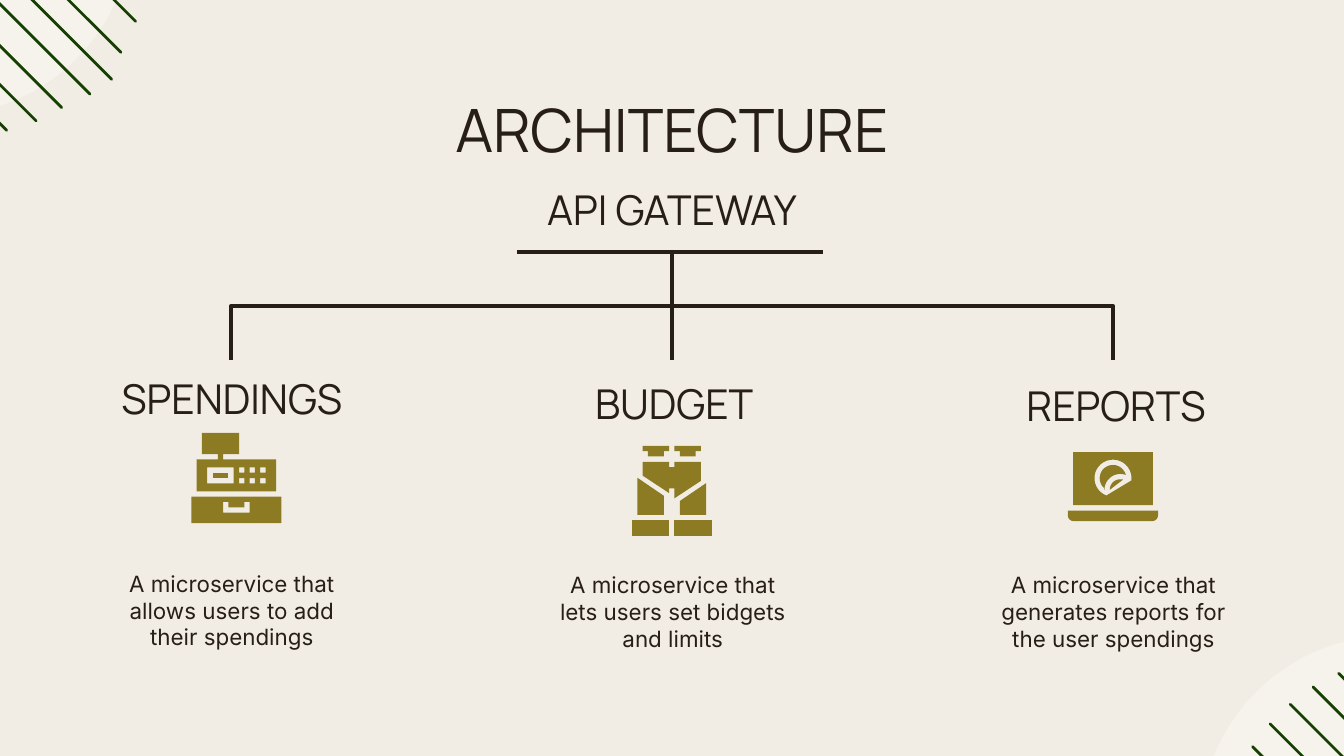
"""Build the architecture slide: a gateway that branches into three microservices."""
from math import cos, radians, sin

from lxml import etree
from pptx import Presentation
from pptx.dml.color import RGBColor
from pptx.enum import shapes, text
from pptx.oxml.ns import qn
from pptx.util import Pt

INK, OLIVE, GREEN, CREAM, WHITE = "261E17", "8C7B23", "154001", "F2EDE4", "FFFFFF"
WIDTH, HEIGHT, MIDDLE = 720, 405, 360
UNIT = 2.84
BAR_Y, BRANCH_Y, DROP_Y = 134.8, 163.9, 192.9

TITLE = {"size": Pt(32), "name": "Manrope"}
HEADING = {"size": Pt(22), "name": "Manrope"}
BODY = {"size": Pt(12), "name": "Inter"}


def rect(left, top, right, bottom):
    """Return the corners of a rectangle."""
    return [(left, top), (right, top), (right, bottom), (left, bottom)]


def arc(x, y, radius, start, end, steps=24):
    """Return points along an arc, with angles in degrees."""
    angles = [radians(start + (end - start) * i / steps) for i in range(steps + 1)]
    return [(x + radius * cos(a), y + radius * sin(a)) for a in angles]


REGISTER = [
    [[(2, 0), (2, 4), (5, 4), (5, 5), (1, 5), (1, 11), (16, 11), (16, 5),
      (6, 5), (6, 4), (9, 4), (9, 0)], rect(3, 6.5, 8, 9.5)]
    + [rect(x, y, x + 1, y + 1) for x in (9, 11, 13) for y in (6.5, 8.5)],
    [rect(4, 7.5, 7, 8.5)],
    [rect(0, 12, 17, 17),
     [(11, 13), (11, 15), (6, 15), (6, 13), (7, 13), (7, 14), (10, 14), (10, 13)]],
]
MONEY = [
    *[[[(x, 0), (x, 1), (x + 1, 1), (x + 1, 2), (x + 4, 2), (x + 4, 1), (x + 5, 1),
        (x + 5, 0)]] for x in (2, 8)],
    *[[rect(x, 14, x + 7, 17)] for x in (0, 8)],
    [[(2, 3), (2, 5.6), (7, 8.9), (7, 8), (8, 8), (8, 9.9), (13, 6.6), (13, 3),
      (8, 3), (8, 4), (7, 4), (7, 3)]],
    [[(1, 6), (1, 13), (6, 13), (6, 9.4)]],
    [[(14, 7), (9, 10.4), (9, 13), (14, 13)]],
]
LAPTOP = [
    [[(0, 11), *arc(1.1, 11.9, 1.1, 180, 90), *arc(15.9, 11.9, 1.1, 90, 0), (17, 11)]],
    [rect(1, 0, 16, 10), arc(8.5, 4.9, 3.5, 7, -249)],
    [arc(8.5, 4.9, 2.5, -14, -233) + arc(9.9, 7.1, 3, 180, 289)],
    [arc(9.9, 7.1, 2, 180, 285)],
]

SERVICES = [
    {"name": "SPENDINGS", "at": (124.2, 193), "icon": REGISTER, "icon_at": (102.5, 232),
     "about": "A microservice that allows users to add their spendings",
     "about_at": (124.2, 298.1)},
    {"name": "BUDGET", "at": (361.1, 195.4), "icon": MONEY, "icon_at": (338.6, 238.9),
     "about": "A microservice that lets users set bidgets and limits",
     "about_at": (360.4, 298.7)},
    {"name": "REPORTS", "at": (597.9, 196.6), "icon": LAPTOP, "icon_at": (572.1, 242.3),
     "about": "A microservice that generates reports for the user spendings",
     "about_at": (596.5, 298.7)},
]
CORNERS = [
    {"disc": (643, 340.6), "stripes": [
        (671, 400, 140), (680.4, 387.8, 146), (691.2, 377.3, 138),
        (703.4, 368, 141), (717.1, 360.7, 134)]},
    {"disc": (-135.4, -142.6), "stripes": [
        (3.6, 69.8, -123), (19.4, 64.8, -133), (33.1, 57.6, -140), (48.2, 50.4, -146),
        (59.8, 42.5, -147), (64.8, 28.1, -141), (72.7, 11.5, -134)]},
]


def color(value):
    """Turn a hex string into a colour."""
    return RGBColor.from_string(value)


def paint(shape, value):
    """Give a shape a flat fill without line or shadow."""
    shape.shadow.inherit = False
    shape.fill.solid()
    shape.fill.fore_color.rgb = color(value)
    shape.line.fill.background()


def add_line(page, start, end, value, width, kind="STRAIGHT", cap="flat"):
    """Add a connector between two points."""
    line = page.shapes.add_connector(
        shapes.MSO_CONNECTOR[kind], *map(Pt, (*start, *end)))
    line.line.color.rgb = color(value)
    line.line.width = Pt(width)
    frame = line.element.spPr
    frame.find(qn("a:ln")).set("cap", cap)
    etree.SubElement(frame, qn("a:effectLst"))
    return line


def add_branch(page, x):
    """Add an elbow that rises from a service to the gateway bar."""
    rise, run = (DROP_Y - BAR_Y) / 2, abs(MIDDLE - x) / 2
    center, side = (x + MIDDLE) / 2, 1 if x < MIDDLE else -1
    branch = add_line(page, (center - side * rise, BRANCH_Y - run),
                      (center + side * rise, BRANCH_Y + run), INK, 2.25, "ELBOW")
    turn = 270 if side > 0 else 90
    branch.element.spPr.find(qn("a:xfrm")).set("rot", str(turn * 60000))


def add_text(page, words, center, top, width, height, style, anchor="TOP"):
    """Add a centred text box."""
    box = page.shapes.add_textbox(*map(Pt, (center - width / 2, top, width, height)))
    layout = {"word_wrap": True, "vertical_anchor": text.MSO_ANCHOR[anchor]}
    layout.update({f"margin_{side}": Pt(7.2) for side in ("left", "right", "top", "bottom")})
    for key, value in layout.items():
        setattr(box.text_frame, key, value)
    para = box.text_frame.paragraphs[0]
    para.alignment = text.PP_ALIGN.CENTER
    span = para.add_run()
    span.text = words
    for key, value in style.items():
        setattr(span.font, key, value)
    span.font.color.rgb = color(INK)


def add_icon(page, parts, left, top):
    """Draw each part of an icon; later contours cut holes in the first."""
    for contours in parts:
        placed = [[((left + x * UNIT) * 100, (top + y * UNIT) * 100) for x, y in contour]
                  for contour in contours]
        outline = page.shapes.build_freeform(*placed[0][0], scale=Pt(0.01))
        for number, points in enumerate(placed):
            if number:
                outline.move_to(*points[0])
            outline.add_line_segments(points[1:], close=True)
        paint(outline.convert_to_shape(), OLIVE)


def add_corner(page, disc, stripes):
    """Add a translucent disc with diagonal stripes."""
    circle = page.shapes.add_shape(shapes.MSO_SHAPE.OVAL, *map(Pt, (*disc, 206, 204.5)))
    paint(circle, WHITE)
    tint = circle.element.spPr.find(qn("a:solidFill"))[0]
    etree.SubElement(tint, qn("a:alpha"), val="36000")
    for x, y, reach in stripes:
        add_line(page, (x, y), (x + reach, y + reach), GREEN, 1.5, cap="rnd")


def main():
    """Compose and save the slide."""
    deck = Presentation()
    deck.slide_width, deck.slide_height = Pt(WIDTH), Pt(HEIGHT)
    page = deck.slides.add_slide(deck.slide_layouts[6])
    page.background.fill.solid()
    page.background.fill.fore_color.rgb = color(CREAM)
    for corner in CORNERS:
        add_corner(page, **corner)
    add_text(page, "ARCHITECTURE", MIDDLE, 41, 608, 55.4, TITLE, "MIDDLE")
    add_text(page, "API GATEWAY", MIDDLE, 91.4, 450, 44, HEADING)
    add_line(page, (277, BAR_Y), (441, BAR_Y), INK, 2.25)
    for x in (123.8, 596.2):
        add_branch(page, x)
    add_line(page, (MIDDLE, DROP_Y), (MIDDLE, BRANCH_Y), INK, 2.25)
    for service in SERVICES:
        add_text(page, service["name"], *service["at"], 146, 44, HEADING)
        add_icon(page, service["icon"], *service["icon_at"])
        add_text(page, service["about"], *service["about_at"], 146, 59, BODY)
    deck.save("out.pptx")


if __name__ == "__main__":
    main()
